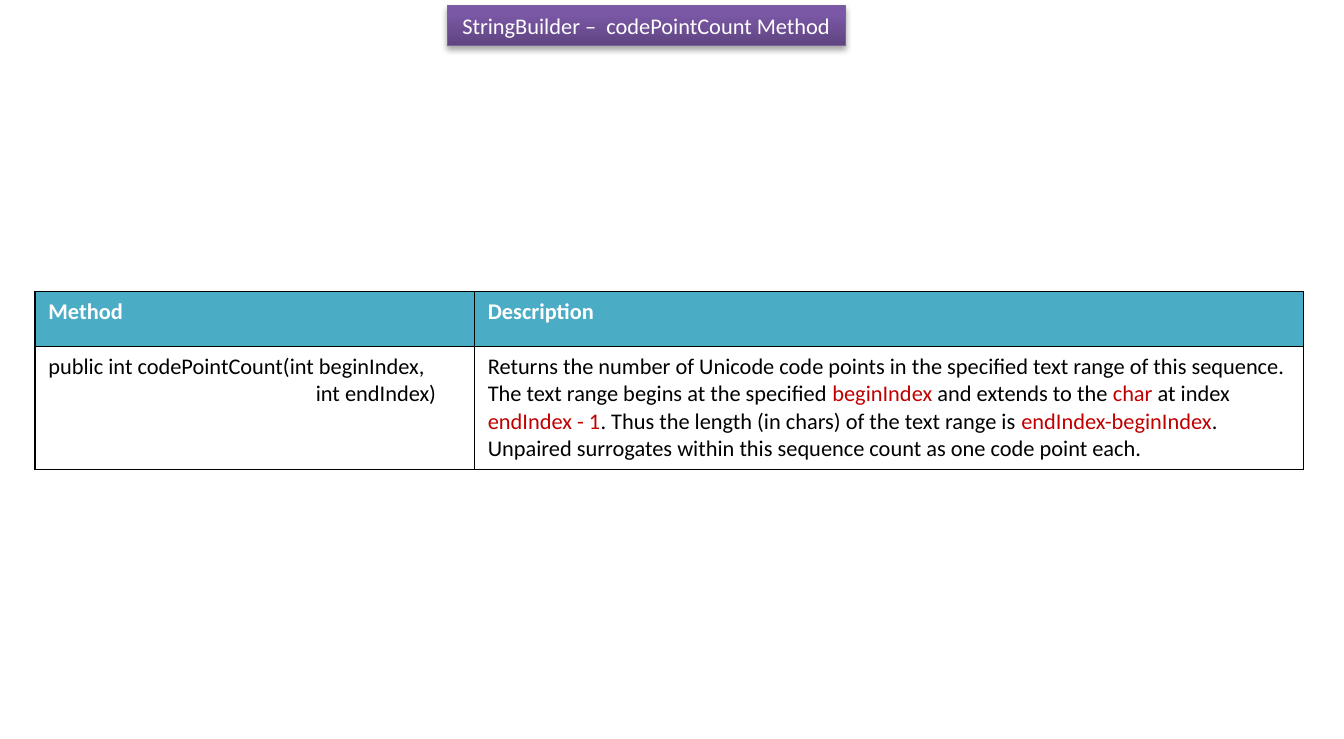
"""Build the StringBuilder codePointCount method slide."""
from copy import deepcopy

from lxml import etree
from pptx import Presentation
from pptx.dml.color import RGBColor
from pptx.enum.shapes import MSO_SHAPE as SHAPE
from pptx.enum.text import MSO_ANCHOR as ANCHOR, PP_ALIGN as ALIGN
from pptx.oxml import parse_xml
from pptx.oxml.ns import nsdecls, qn
from pptx.util import Inches, Pt


def rgb(value):
    return RGBColor.from_string(value)


def add_runs(p, runs, bold=False):
    for text, color in runs:
        r = p.add_run()
        r.text = text
        r.font.color.rgb = rgb(color)
    p.font.name, p.font.size, p.font.bold = "Calibri", Pt(12), bold


WHITE, BLACK, RED, TEAL = "FFFFFF", "000000", "C00000", "4BACC6"

prs = Presentation()
prs.slide_width, prs.slide_height = Inches(10), Inches(5.5)
slide = prs.slides.add_slide(prs.slide_layouts[6])

s = slide.shapes.add_shape(SHAPE.RECTANGLE, Inches(3.33), Inches(0.04), Inches(2.96), Inches(0.3))
s.fill.gradient()
s.fill.gradient_angle = 90
stops = s._element.spPr.find(".//" + qn("a:gsLst"))
stops.insert(1, deepcopy(stops[0]))
for stop, (pos, color) in zip(s.fill.gradient_stops, [(0, "5F4480"), (0.8, "7B58A6"), (1, "7C57A8")]):
    stop.position = pos
    stop.color.rgb = rgb(color)
s.line.color.rgb = rgb("7D60A0")
s.line.width = Pt(0.75)
s.shadow.inherit = False
effects = s._element.spPr.find(qn("a:effectLst"))
effects.append(parse_xml(
    f'<a:outerShdw {nsdecls("a")} blurRad="40000" dist="23000" dir="5400000" rotWithShape="0">'
    f'<a:srgbClr val="{BLACK}"><a:alpha val="35000"/></a:srgbClr></a:outerShdw>'))
tf = s.text_frame
tf.word_wrap = False
tf.vertical_anchor = ANCHOR.MIDDLE
p = tf.paragraphs[0]
p.alignment = ALIGN.CENTER
add_runs(p, [("StringBuilder –  codePointCount Method", WHITE)])

table = slide.shapes.add_table(2, 2, Inches(0.26), Inches(2.17), Inches(9.44), Inches(1.31)).table
for col, width in zip(table.columns, (3.27, 6.17)):
    col.width = Inches(width)
for row, height in zip(table.rows, (0.41, 0.9)):
    row.height = Inches(height)

description = [
    ("Returns the number of Unicode code points in the specified text range of this sequence. "
     "The text range begins at the specified ", BLACK),
    ("beginIndex", RED),
    (" and extends to the ", BLACK),
    ("char", RED),
    (" at index ", BLACK),
    ("endIndex - 1", RED),
    (". Thus the length (in chars) of the text range is ", BLACK),
    ("endIndex-beginIndex", RED),
    (". Unpaired surrogates within this sequence count as one code point each.", BLACK),
]
signature = [("public int codePointCount(int beginIndex,", BLACK)]
rows = [[[("Method", WHITE)], [("Description", WHITE)]], [signature, description]]

for i, row in enumerate(rows):
    for j, runs in enumerate(row):
        cell = table.cell(i, j)
        add_runs(cell.text_frame.paragraphs[0], runs, bold=i == 0)
        tcPr = cell._tc.get_or_add_tcPr()
        for side in ("lnL", "lnR", "lnT", "lnB"):
            ln = etree.SubElement(tcPr, qn(f"a:{side}"), w=str(Pt(1)))
            fill = etree.SubElement(ln, qn("a:solidFill"))
            etree.SubElement(fill, qn("a:srgbClr"), val=BLACK)
        cell.fill.solid()
        cell.fill.fore_color.rgb = rgb(WHITE if i else TEAL)

p = table.cell(1, 0).text_frame.add_paragraph()
p._p.get_or_add_pPr().set("marL", str(Inches(1.99)))
add_runs(p, [("int endIndex)", BLACK)])

prs.save("out.pptx")
